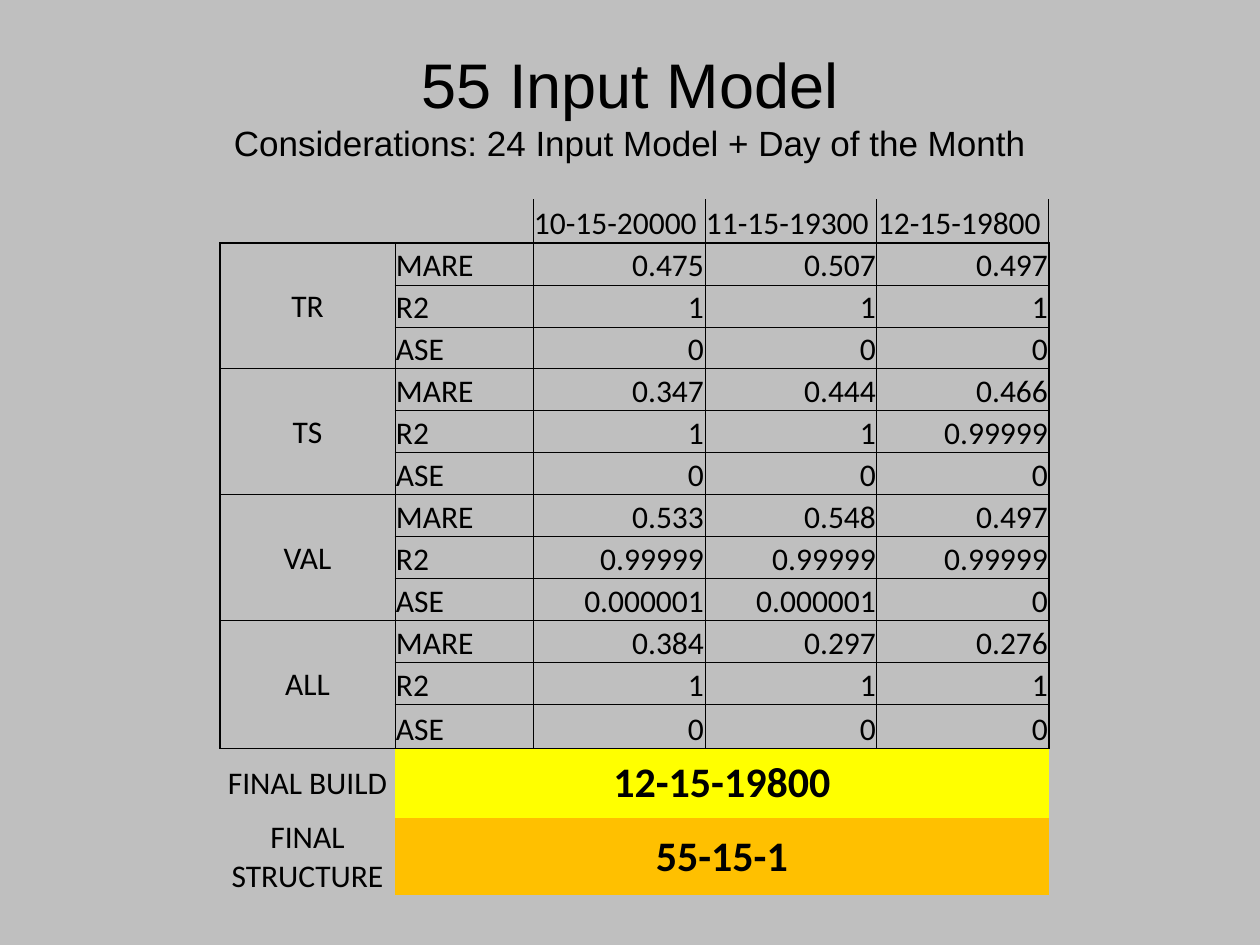
from dataclasses import dataclass

from pptx import Presentation
from pptx.dml.color import RGBColor
from pptx.enum.text import MSO_ANCHOR as Anchor, MSO_AUTO_SIZE as Fit, PP_ALIGN as Align
from pptx.util import Emu, Pt
from pptx.oxml import parse_xml
from pptx.oxml.ns import nsdecls


@dataclass(frozen=True)
class Theme:
    back: str = "BFBFBF"
    ink: str = "000000"
    build: str = "FFFF00"
    struct: str = "FFC000"
    head: str = "Arial"
    body: str = "Calibri"
    title: int = 36
    sub: int = 20
    cell: int = 18
    final: int = 24
    thin: float = 0.5
    thick: float = 1


THEME = Theme()
COLS = [175, 138, 172, 172, 172]
ROWS = [44] + [42] * 11 + [44, 69, 76]
BUILDS = ["10-15-20000", "11-15-19300", "12-15-19800"]
STATS = ["MARE", "R2", "ASE"]
GROUPS = {
    "TR": [("0.475", "0.507", "0.497"), ("1", "1", "1"), ("0", "0", "0")],
    "TS": [("0.347", "0.444", "0.466"), ("1", "1", "0.99999"), ("0", "0", "0")],
    "VAL": [
        ("0.533", "0.548", "0.497"),
        ("0.99999", "0.99999", "0.99999"),
        ("0.000001", "0.000001", "0"),
    ],
    "ALL": [("0.384", "0.297", "0.276"), ("1", "1", "1"), ("0", "0", "0")],
}
FINALS = [
    ("FINAL BUILD", "12-15-19800", THEME.build),
    ("FINAL STRUCTURE", "55-15-1", THEME.struct),
]
LAST = len(GROUPS) * len(STATS)


def px(n):
    return Emu(round(n * 914400 / 126))


def write(par, text, size=THEME.cell, font=THEME.body, bold=False, align=Align.LEFT):
    par.alignment = align
    run = par.add_run()
    run.text = text
    run.font.size = Pt(size)
    run.font.name = font
    run.font.bold = bold
    run.font.color.rgb = RGBColor.from_string(THEME.ink)


def fill_cell(cell, text, anchor=Anchor.MIDDLE, **form):
    cell.vertical_anchor = anchor
    write(cell.text_frame.paragraphs[0], text, **form)


def edges(row, col):
    thin, thick = THEME.thin, THEME.thick
    if row == 0:
        return {"L": thin if col > 1 else 0, "R": thin if col else 0, "B": thick}
    if row > LAST:
        return {"T": thick if row == LAST + 1 else 0}
    top = thick if row == 1 else thin
    low = thick if row == LAST else thin
    if col == 0:
        step = len(STATS)
        top = top if row % step == 1 else 0
        low = low if row % step == 0 else 0
    return {
        "L": thin if col else thick,
        "R": thick if col == len(COLS) - 1 else thin,
        "T": top,
        "B": low,
    }


def border(cell, widths):
    props = cell._tc.get_or_add_tcPr()
    for side in "LRTB":
        width = widths.get(side, 0)
        paint = (
            f'<a:solidFill><a:srgbClr val="{THEME.ink}"/></a:solidFill>'
            if width
            else "<a:noFill/>"
        )
        props.append(
            parse_xml(f'<a:ln{side} {nsdecls("a")} w="{Pt(width)}">{paint}</a:ln{side}>')
        )


def add_title(slide, x, y, w, h):
    shape = slide.shapes.title
    shape.left, shape.top, shape.width, shape.height = map(px, (x, y, w, h))
    frame = shape.text_frame
    frame.word_wrap = True
    frame.auto_size = Fit.NONE
    frame.vertical_anchor = Anchor.MIDDLE
    frame.margin_left = frame.margin_right = px(5)
    frame.margin_top = frame.margin_bottom = px(5)
    par = frame.paragraphs[0]
    form = {"font": THEME.head, "align": Align.CENTER}
    write(par, "55 Input Model", size=THEME.title, **form)
    par.add_line_break()
    write(par, "Considerations: 24 Input Model + Day of the Month", size=THEME.sub, **form)


def add_grid(slide, x, y):
    box = map(px, (x, y, sum(COLS), sum(ROWS)))
    table = slide.shapes.add_table(len(ROWS), len(COLS), *box).table
    table.first_row = table.horz_banding = False
    for col, width in zip(table.columns, COLS):
        col.width = px(width)
    for row, height in zip(table.rows, ROWS):
        row.height = px(height)
    for r in range(len(ROWS)):
        for c in range(len(COLS)):
            cell = table.cell(r, c)
            cell.margin_left = cell.margin_right = cell.margin_top = px(1)
            cell.margin_bottom = 0
            border(cell, edges(r, c))
            cell.fill.background()

    for c, name in enumerate(BUILDS, 2):
        fill_cell(table.cell(0, c), name, anchor=Anchor.BOTTOM)
    for g, (group, lines) in enumerate(GROUPS.items()):
        top = 1 + g * len(STATS)
        cell = table.cell(top, 0)
        cell.merge(table.cell(top + len(STATS) - 1, 0))
        fill_cell(cell, group, align=Align.CENTER)
        for r, (stat, values) in enumerate(zip(STATS, lines), top):
            fill_cell(table.cell(r, 1), stat, anchor=Anchor.BOTTOM)
            for c, value in enumerate(values, 2):
                fill_cell(table.cell(r, c), value, anchor=Anchor.BOTTOM, align=Align.RIGHT)
    for r, (label, value, color) in enumerate(FINALS, LAST + 1):
        fill_cell(table.cell(r, 0), label, align=Align.CENTER)
        cell = table.cell(r, 1)
        cell.merge(table.cell(r, len(COLS) - 1))
        cell.fill.solid()
        cell.fill.fore_color.rgb = RGBColor.from_string(color)
        fill_cell(cell, value, size=THEME.final, bold=True, align=Align.CENTER)


def main():
    deck = Presentation()
    deck.slide_width, deck.slide_height = px(1260), px(945)
    slide = deck.slides.add_slide(deck.slide_layouts[5])
    fill = slide.background.fill
    fill.solid()
    fill.fore_color.rgb = RGBColor.from_string(THEME.back)
    add_grid(slide, 220, 199)
    add_title(slide, 92, 0, 1076, 209)
    deck.save("out.pptx")


if __name__ == "__main__":
    main()
